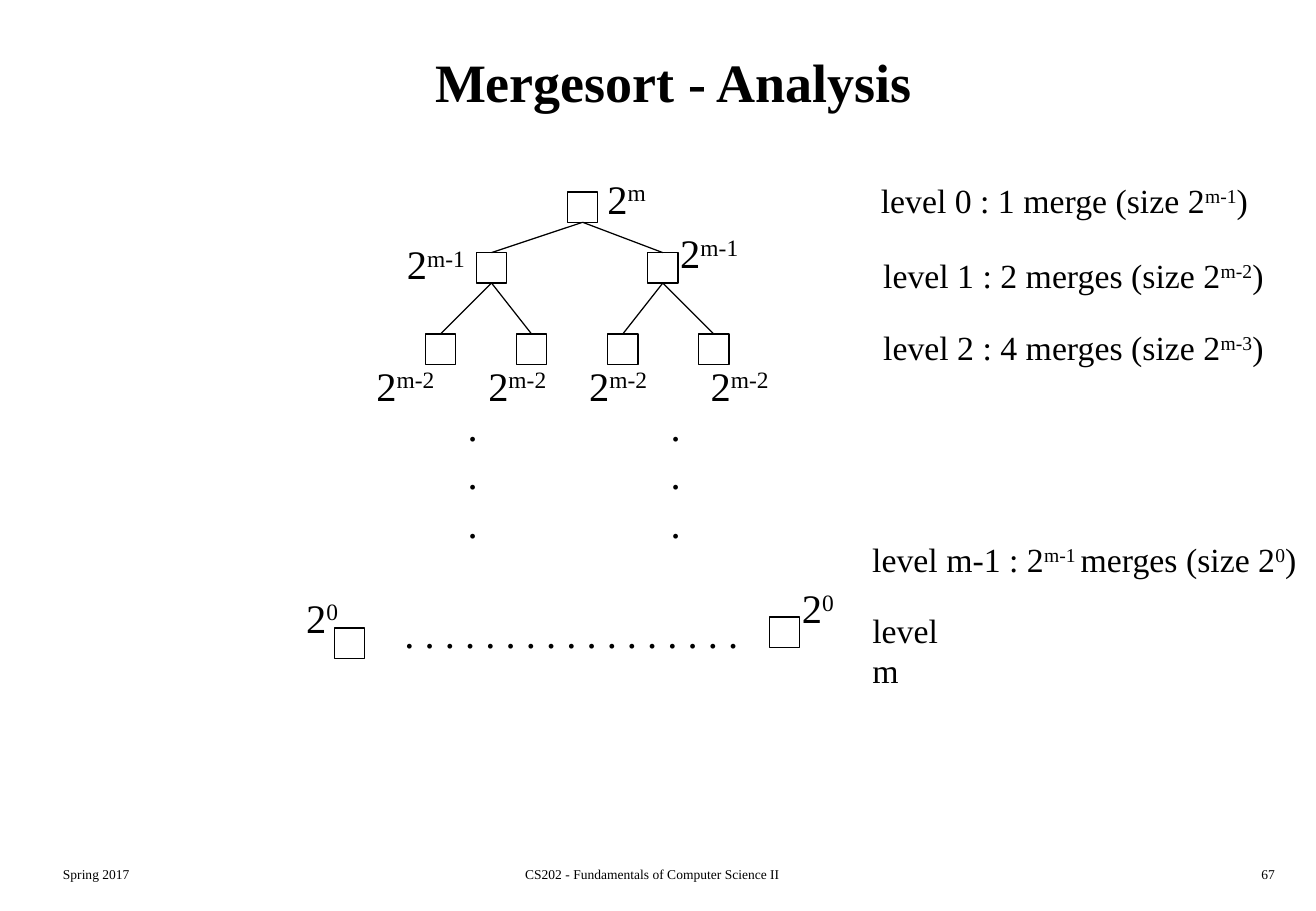
from pptx import Presentation
from pptx.dml.color import RGBColor
from pptx.enum import shapes, text
from pptx.oxml.ns import qn
from pptx.util import Inches, Pt
from lxml import etree

# Content: text runs alternate between normal and superscript
COLORS = {"ink": "000000", "paper": "FFFFFF"}
FONT = "Times New Roman"
TITLE = "Mergesort - Analysis"
BOX = 0.25

nodes = {  # left, top
    "root": (4.67, 1.58),
    "left": (3.92, 2.08), "right": (5.33, 2.08),
    "left-left": (3.5, 2.75), "left-right": (4.25, 2.75),
    "right-left": (5, 2.75), "right-right": (5.75, 2.75),
    "first leaf": (2.75, 5.17), "last leaf": (6.33, 5.08),
}
children = {
    "root": ("left", "right"),
    "left": ("left-left", "left-right"),
    "right": ("right-left", "right-right"),
}
node_sizes = [  # left, top, width, exponent of 2
    (4.9, 1.38, 0.54, "m"),
    (3.25, 1.92, 0.73, "m-1"), (5.5, 1.83, 0.73, "m-1"),
    (3, 2.92, 0.73, "m-2"), (3.92, 2.92, 0.73, "m-2"),
    (4.75, 2.92, 0.73, "m-2"), (5.75, 2.92, 0.73, "m-2"),
    (2.42, 4.83, 0.48, "0"), (6.5, 4.75, 0.48, "0"),
]
levels = [  # left, top, width, runs
    (7.15, 1.43, 3.32, ("level 0 : 1 merge (size 2", "m-1", ")")),
    (7.17, 2.05, 3.43, ("level 1 : 2 merges (size 2", "m-2", ")")),
    (7.17, 2.64, 3.43, ("level 2 : 4 merges (size 2", "m-3", ")")),
    (7.08, 4.39, 3.8, ("level m-1 : 2", "m-1 ", "merges (size 2", "0", ")")),
    (7.08, 4.97, 1.02, ("level m",)),
]
dot_columns = [3.75, 5.42]
leaf_dots = " ".join("." * 17)
footers = [  # left, width, alignment, wording
    (0.42, 2.26, text.PP_ALIGN.LEFT, "Spring 2017"),
    (3.34, 4.06, text.PP_ALIGN.CENTER,
     "CS202 - Fundamentals of Computer Science II"),
    (8.33, 2.26, text.PP_ALIGN.RIGHT, "67"),
]

deck = Presentation()
deck.slide_width, deck.slide_height = Inches(10.83), Inches(7.5)
slide = deck.slides.add_slide(deck.slide_layouts[5])
ink, paper = (RGBColor.from_string(COLORS[name]) for name in ("ink", "paper"))


def write(paragraph, runs, size, bold=False, align=text.PP_ALIGN.LEFT):
    paragraph.alignment = align
    for index, wording in enumerate(runs):
        run = paragraph.add_run()
        run.text = wording
        font_format = {"name": FONT, "size": Pt(size), "bold": bold}
        for key, value in font_format.items():
            setattr(run.font, key, value)
        run.font.color.rgb = ink
        if index % 2:
            run.font._element.set("baseline", "30000")


def add_label(place, lines, size, wrap=False, align=text.PP_ALIGN.LEFT):
    frame = slide.shapes.add_textbox(*map(Inches, place)).text_frame
    frame.word_wrap = wrap
    for index, runs in enumerate(lines):
        paragraph = frame.add_paragraph() if index else frame.paragraphs[0]
        paragraph.line_spacing = Pt(size * 1.2)
        write(paragraph, runs, size, align=align)


# Title
heading = slide.shapes.title
title_place = {"left": 0.42, "top": 0.17, "width": 10.25, "height": 1}
for side, length in title_place.items():
    setattr(heading, side, Inches(length))
heading.text_frame.vertical_anchor = text.MSO_ANCHOR.MIDDLE
write(heading.text_frame.paragraphs[0], [TITLE], 32, True, text.PP_ALIGN.CENTER)

# Tree nodes
boxes = {}
for name, (left, top) in nodes.items():
    box = slide.shapes.add_shape(
        shapes.MSO_SHAPE.RECTANGLE, *map(Inches, (left, top, BOX, BOX)))
    box.shadow.inherit = False
    box.fill.solid()
    box.fill.fore_color.rgb = paper
    box.line.color.rgb = ink
    box.line.width = Pt(0.75)
    boxes[name] = box

# Branches from the bottom of a parent to the top of each child
for parent, pair in children.items():
    for child in pair:
        branch = slide.shapes.add_connector(
            shapes.MSO_CONNECTOR.STRAIGHT, 0, 0, 0, 0)
        branch.begin_connect(boxes[parent], 2)
        branch.end_connect(boxes[child], 0)
        branch.line.color.rgb = ink
        branch.line.width = Pt(0.75)
        etree.SubElement(branch._element.spPr, qn("a:effectLst"))

# Node sizes, dots and level notes
for left, top, width, exponent in node_sizes:
    add_label((left, top, width, 0.5), [("2", exponent)], 24)
for left in dot_columns:
    add_label((left, 3.25, 0.28, 1.3), [(".",)] * 3, 24)
add_label((3.23, 4.96, 2.95, 0.5), [(leaf_dots,)], 24)
for left, top, width, runs in levels:
    add_label((left, top, width, 0.43), [runs], 20)

# Footer
for left, width, align, wording in footers:
    add_label((left, 7.08, width, 0.25), [(wording,)], 8, True, align)

deck.save("out.pptx")
